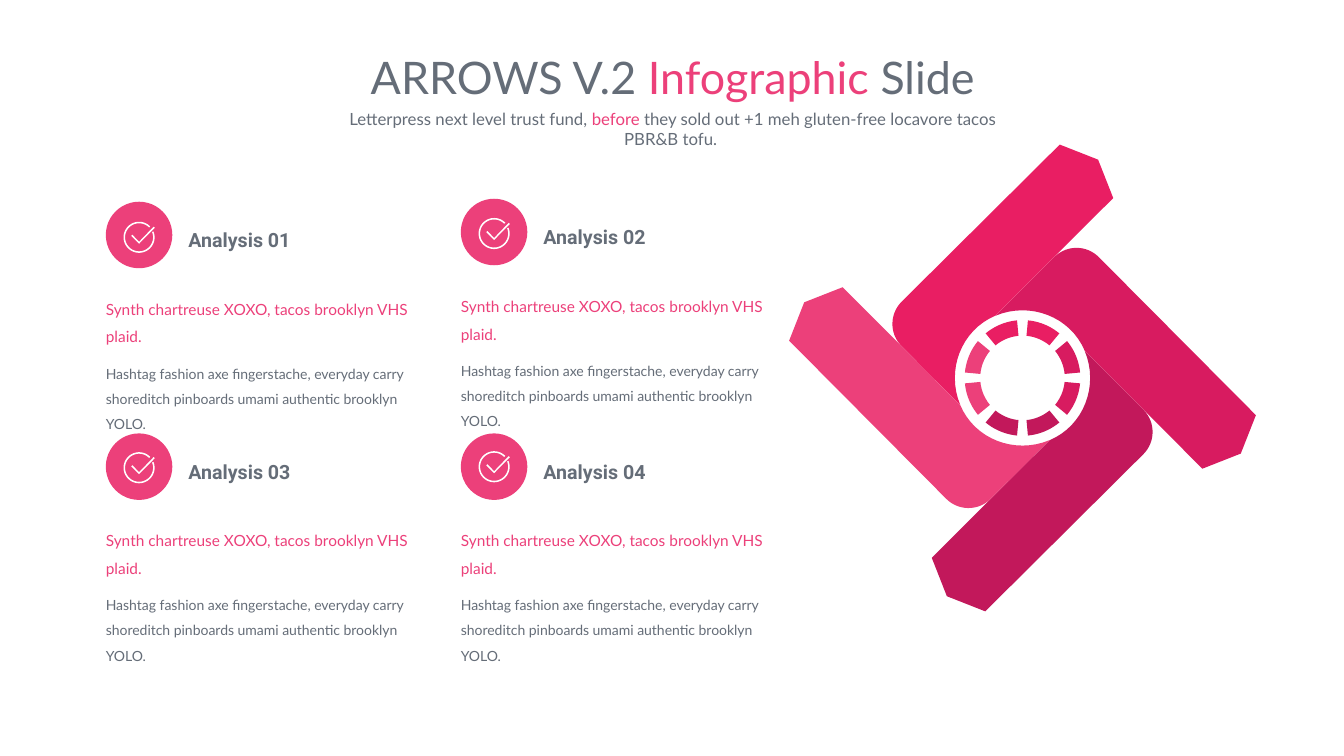
from dataclasses import dataclass
from math import cos, radians, sin
from typing import NamedTuple

from pptx import Presentation
from pptx.dml.color import RGBColor
from pptx.enum.shapes import MSO_SHAPE
from pptx.enum.text import MSO_ANCHOR, MSO_AUTO_SIZE, PP_ALIGN
from pptx.shapes.base import BaseShape
from pptx.shapes.shapetree import GroupShapes
from pptx.util import Pt

ROUNDED = MSO_SHAPE.ROUNDED_RECTANGLE
MIDDLE = MSO_ANCHOR.MIDDLE
GROW = MSO_AUTO_SIZE.SHAPE_TO_FIT_TEXT
CENTER = PP_ALIGN.CENTER

GREY = RGBColor(0x65, 0x6D, 0x78)
PINK = RGBColor(0xEC, 0x40, 0x7A)
WHITE = RGBColor(0xFF, 0xFF, 0xFF)
ARROW_COLOURS = [
    RGBColor(0xD8, 0x1B, 0x60),
    RGBColor(0xC2, 0x18, 0x5B),
    PINK,
    RGBColor(0xE9, 0x1E, 0x63),
]
NO_INSETS = dict.fromkeys(
    ("margin_left", "margin_top", "margin_right", "margin_bottom"), 0
)


class Point(NamedTuple):
    x: float
    y: float


class Box(NamedTuple):
    left: float
    top: float
    width: float
    height: float


class Run(NamedTuple):
    text: str
    colour: RGBColor
    size: float
    font: str = "Lato"
    bold: bool = False


@dataclass
class Analysis:
    title: str
    left: float
    top: float
    icon_drop: float


def apply_format(target: object, values: dict) -> None:
    for name, value in values.items():
        setattr(target, name, value)


def paint(shape: BaseShape, colour: RGBColor) -> None:
    shape.shadow.inherit = False
    shape.fill.solid()
    shape.fill.fore_color.rgb = colour
    shape.line.fill.background()


def add_text(shapes: GroupShapes, box: Box, paragraphs: list[list[Run]],
             frame_format: dict, paragraph_format: dict) -> None:
    frame = shapes.add_textbox(*map(Pt, box)).text_frame
    apply_format(frame, {"word_wrap": True, **frame_format})
    for index, runs in enumerate(paragraphs):
        paragraph = frame.add_paragraph() if index else frame.paragraphs[0]
        apply_format(paragraph, paragraph_format)
        for item in runs:
            run = paragraph.add_run()
            run.text = item.text
            apply_format(run.font, {"name": item.font, "size": Pt(item.size),
                                    "bold": item.bold})
            run.font.color.rgb = item.colour


def add_outline(shapes: GroupShapes, centre: Point,
                contours: list[list[Point]], colour: RGBColor) -> None:
    placed = [[(Pt(centre.x + p.x), Pt(centre.y + p.y)) for p in contour]
              for contour in contours]
    builder = shapes.build_freeform(*placed[0][0], scale=1.0)
    for index, contour in enumerate(placed):
        if index:
            builder.move_to(*contour[0])
        builder.add_line_segments(contour[1:], close=True)
    paint(builder.convert_to_shape(), colour)


def bezier(a: Point, b: Point, c: Point, d: Point, steps: int = 16) -> list[Point]:
    points = []
    for step in range(steps + 1):
        t = step / steps
        weights = ((1 - t) ** 3, 3 * t * (1 - t) ** 2, 3 * t * t * (1 - t), t ** 3)
        points.append(Point(sum(w * p.x for w, p in zip(weights, (a, b, c, d))),
                            sum(w * p.y for w, p in zip(weights, (a, b, c, d)))))
    return points


def arc(radius: float, start: float, end: float, steps: int) -> list[Point]:
    angles = [radians(start + (end - start) * i / steps) for i in range(steps + 1)]
    return [Point(radius * sin(a), -radius * cos(a)) for a in angles]


def band(outer: float, inner: float, start: float, end: float,
         steps: int) -> list[Point]:
    return arc(outer, start, end, steps) + arc(inner, end, start, steps)


def quarter_turns(points: list[Point], turns: int) -> list[Point]:
    for _ in range(turns):
        points = [Point(-p.y, p.x) for p in points]
    return points


ARROW = [
    Point(166.7, 26.6), Point(155.9, 54), Point(128.5, 64.8),
    *bezier(Point(44.5, -19.3), Point(34.2, -43.9),
            Point(5.4, -54.7), Point(-19.2, -44.5)),
    *bezier(Point(23.4, -87), Point(32, -95), Point(45.7, -95), Point(54.4, -86.4)),
]
TICK = [Point(0, 3.2), Point(-4.8, -1.8), Point(-5.6, -1),
        Point(0, 4.6), Point(11.2, -6.8), Point(10.4, -7.6)]
CHECK_ICON = [band(11.1, 10, 68, 406, 60), TICK]
HUB = Point(730.4, 270)


def add_analysis(shapes: GroupShapes, card: Analysis) -> None:
    group = shapes.add_group_shape().shapes
    badge = group.add_shape(ROUNDED, *map(Pt, (card.left, card.top, 47.5, 47.5)))
    badge.adjustments[0] = 0.5
    paint(badge, PINK)
    add_text(group, Box(card.left + 59, card.top + 14.5, 139, 20),
             [[Run(card.title, GREY, 14, "Roboto", True)]],
             {**NO_INSETS, "vertical_anchor": MIDDLE, "auto_size": GROW},
             {"line_spacing": 1.3})
    add_text(group, Box(card.left, card.top + 63.5, 223, 62.6),
             [[Run("Synth chartreuse XOXO, tacos brooklyn VHS plaid.", PINK, 11)],
              [Run("Hashtag fashion axe fingerstache, everyday carry shoreditch "
                   "pinboards umami authentic brooklyn YOLO.", GREY, 10)]],
             NO_INSETS, {"line_spacing": 1.5, "space_before": Pt(7.5)})
    add_outline(group, Point(card.left + 23.75, card.top + card.icon_drop),
                CHECK_ICON, WHITE)


def add_pinwheel(shapes: GroupShapes) -> None:
    group = shapes.add_group_shape().shapes
    for turns, colour in enumerate(ARROW_COLOURS):
        add_outline(group, HUB, [quarter_turns(ARROW, turns)], colour)
    for segment in range(8):
        start = 45 * segment
        add_outline(group, HUB, [band(41.3, 30.2, start + 5.4, start + 39.6, 10)],
                    ARROW_COLOURS[(segment - 1) // 2 % 4])


ANALYSES = [
    Analysis("Analysis 01", 75.6, 144.1, 25.4),
    Analysis("Analysis 02", 329.2, 142, 24.8),
    Analysis("Analysis 03", 75.6, 309.6, 24.5),
    Analysis("Analysis 04", 329.2, 309.6, 23.8),
]

presentation = Presentation()
presentation.slide_width = Pt(960)
presentation.slide_height = Pt(540)
slide = presentation.slides.add_slide(presentation.slide_layouts[6])

add_text(slide.shapes, Box(183, 32, 595, 46),
         [[Run("ARROWS V.2 ", GREY, 32), Run("Infographic ", PINK, 32),
           Run("Slide", GREY, 32)]],
         {"auto_size": GROW}, {"alignment": CENTER})
add_text(slide.shapes, Box(230.4, 74.2, 500.4, 21.6),
         [[Run("Letterpress next level trust fund, ", GREY, 12),
           Run("before", PINK, 12),
           Run(" they sold out +1 meh gluten-free locavore tacos PBR&B tofu. ",
               GREY, 12)]],
         {"auto_size": GROW}, {"alignment": CENTER})
add_pinwheel(slide.shapes)
for analysis in ANALYSES:
    add_analysis(slide.shapes, analysis)

presentation.save("out.pptx")
